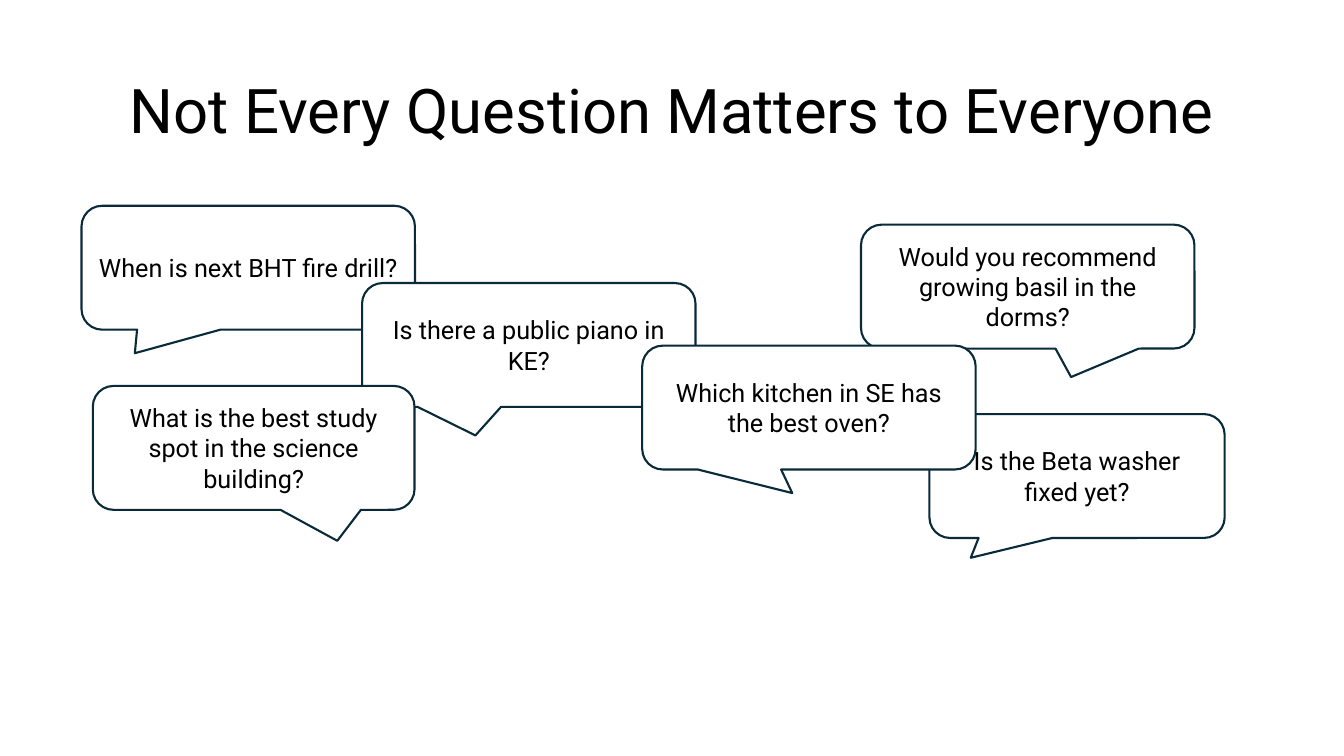
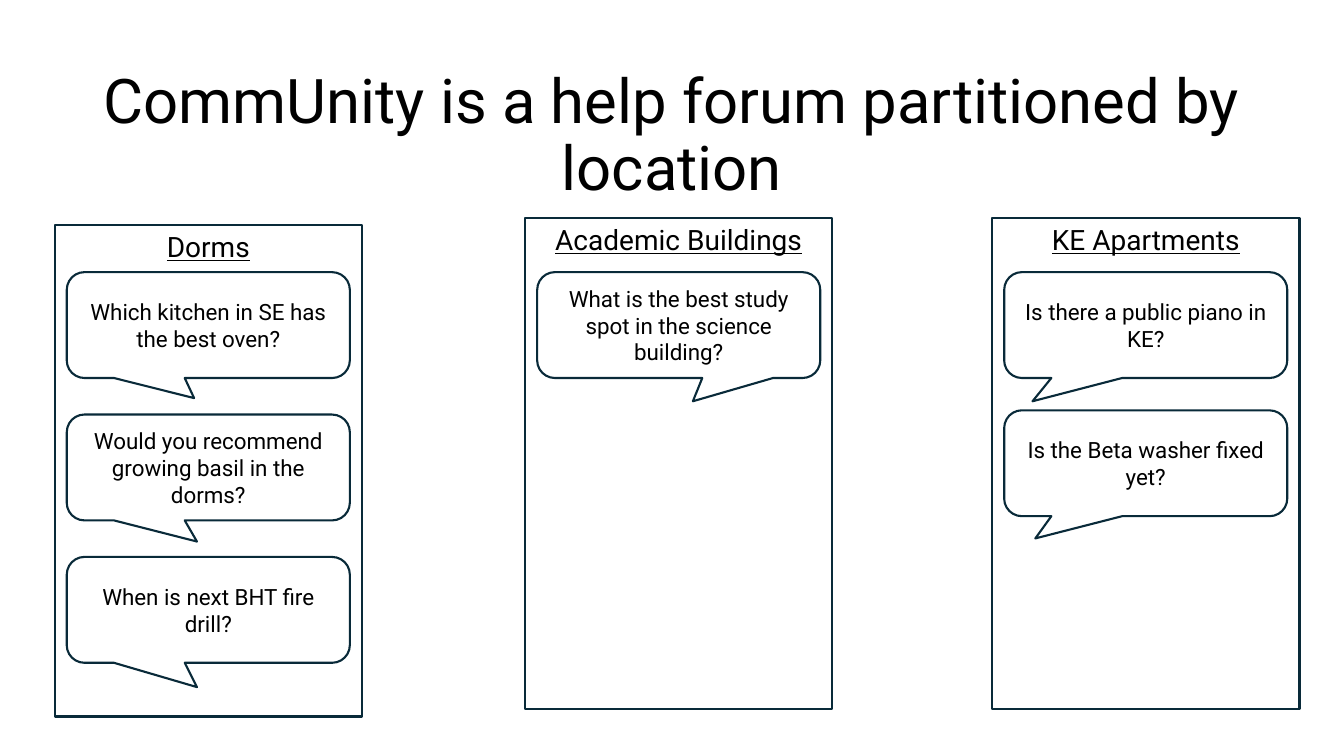
from dataclasses import dataclass

from pptx import Presentation
from pptx.dml.color import RGBColor
from pptx.enum.shapes import MSO_SHAPE as Shape
from pptx.enum.text import MSO_ANCHOR as Anchor, MSO_AUTO_SIZE as AutoSize, PP_ALIGN as Align
from pptx.util import Inches, Pt


@dataclass(frozen=True)
class Theme:
    font: str = "Roboto"
    ink: RGBColor = RGBColor(0x00, 0x00, 0x00)
    paper: RGBColor = RGBColor(0xFF, 0xFF, 0xFF)
    outline: RGBColor = RGBColor(0x09, 0x2A, 0x39)
    outline_width: float = 1.5
    title_size: int = 44
    heading_size: int = 20
    large_size: int = 18
    small_size: int = 16


COLUMNS, ROWS = 32, 18
TITLE_ONLY = 5

FIRE_DRILL = "When is next BHT fire drill?"
PIANO = "Is there a public piano in KE?"
BASIL = "Would you recommend growing basil in the dorms?"
KITCHEN = "Which kitchen in SE has the best oven?"
STUDY = "What is the best study spot in the science building?"
WASHER = "Is the Beta washer fixed yet?"

BUBBLE_WIDTH, BUBBLE_HEIGHT = 7.94, 2.95

# Paragraphs, column, row, width, tail tip
SCATTERED_QUESTIONS = [
    ([FIRE_DRILL], 1.94, 4.9, BUBBLE_WIDTH, (-0.34, 0.69)),
    ([PIANO], 8.62, 6.74, BUBBLE_WIDTH, (-0.16, 0.73)),
    (["Is the Beta washer", "fixed yet?"], 22.13, 9.86, 7.03, (-0.36, 0.66)),
    ([BASIL], 20.5, 5.35, BUBBLE_WIDTH, (0.13, 0.73)),
    ([KITCHEN], 15.29, 8.23, BUBBLE_WIDTH, (-0.05, 0.69)),
    ([STUDY], 2.21, 9.19, 7.66, (0.26, 0.75)),
]

PANEL_WIDTH, PANEL_HEIGHT = 7.32, 11.71
CARD_WIDTH, CARD_HEIGHT = 6.74, 2.52
CARD_INSET = (PANEL_WIDTH - CARD_WIDTH) / 2
FIRST_CARD_ROW = 6.48

# Heading, column, row, distance between cards, questions with tail tips
LOCATIONS = [
    ("KE Apartments", 23.62, 5.18, 3.29,
     [(PIANO, (-0.4, 0.72)), (WASHER, (-0.39, 0.71))]),
    ("Academic Buildings", 12.5, 5.18, 3.39, [(STUDY, (0.05, 0.72))]),
    ("Dorms", 1.3, 5.35, 3.39,
     [(KITCHEN, (-0.05, 0.69)), (BASIL, (-0.04, 0.7)), (FIRE_DRILL, (-0.04, 0.73))]),
]


class Deck:
    """Holds the style and the current slide; lengths are grid cells."""

    def __init__(self, theme):
        self.theme = theme
        self.presentation = Presentation()
        self.presentation.slide_width = Inches(13.33)
        self.presentation.slide_height = Inches(7.5)
        self.slide = None

    def box(self, column, row, width, height):
        across = self.presentation.slide_width / COLUMNS
        down = self.presentation.slide_height / ROWS
        return (round(column * across), round(row * down),
                round(width * across), round(height * down))

    def set_text(self, shape, lines, size, anchor, underline=None, line_spacing=None):
        frame = shape.text_frame
        frame.word_wrap = True
        frame.auto_size = AutoSize.NONE
        frame.vertical_anchor = anchor
        for index, line in enumerate(lines):
            paragraph = frame.add_paragraph() if index else frame.paragraphs[0]
            paragraph.alignment = Align.CENTER
            paragraph.line_spacing = line_spacing
            run = paragraph.add_run()
            run.text = line
            run.font.name = self.theme.font
            run.font.size = Pt(size)
            run.font.color.rgb = self.theme.ink
            run.font.underline = underline

    def add_slide(self, title, title_height):
        layout = self.presentation.slide_layouts[TITLE_ONLY]
        self.slide = self.presentation.slides.add_slide(layout)
        shape = self.slide.shapes.title
        shape.left, shape.top, shape.width, shape.height = self.box(
            2.2, 0.96, COLUMNS - 2 * 2.2, title_height)
        self.set_text(shape, [title], self.theme.title_size, Anchor.MIDDLE, line_spacing=0.9)

    def outlined(self, kind, *place):
        shape = self.slide.shapes.add_shape(kind, *self.box(*place))
        shape.shadow.inherit = False
        shape.fill.solid()
        shape.fill.fore_color.rgb = self.theme.paper
        shape.line.color.rgb = self.theme.outline
        shape.line.width = Pt(self.theme.outline_width)
        return shape

    def panel(self, heading, *place):
        shape = self.outlined(Shape.RECTANGLE, *place)
        self.set_text(shape, [heading], self.theme.heading_size, Anchor.TOP, underline=True)

    def bubble(self, lines, size, tail, *place):
        """Tail is the tip's offset from the centre, as shares of the bubble."""
        shape = self.outlined(Shape.ROUNDED_RECTANGULAR_CALLOUT, *place)
        shape.adjustments[0], shape.adjustments[1] = tail
        self.set_text(shape, lines, size, Anchor.MIDDLE)


def add_question_slide(deck):
    deck.add_slide("Not Every Question Matters to Everyone", 3.48)
    for lines, column, row, width, tail in SCATTERED_QUESTIONS:
        deck.bubble(lines, deck.theme.large_size, tail, column, row, width, BUBBLE_HEIGHT)


def add_location_slide(deck):
    deck.add_slide("CommUnity is a help forum partitioned by location", 4.6)
    for heading, column, row, step, questions in LOCATIONS:
        deck.panel(heading, column, row, PANEL_WIDTH, PANEL_HEIGHT)
        for index, (question, tail) in enumerate(questions):
            deck.bubble([question], deck.theme.small_size, tail, column + CARD_INSET,
                        FIRST_CARD_ROW + index * step, CARD_WIDTH, CARD_HEIGHT)


def main():
    deck = Deck(Theme())
    add_question_slide(deck)
    add_location_slide(deck)
    deck.presentation.save("out.pptx")


if __name__ == "__main__":
    main()
